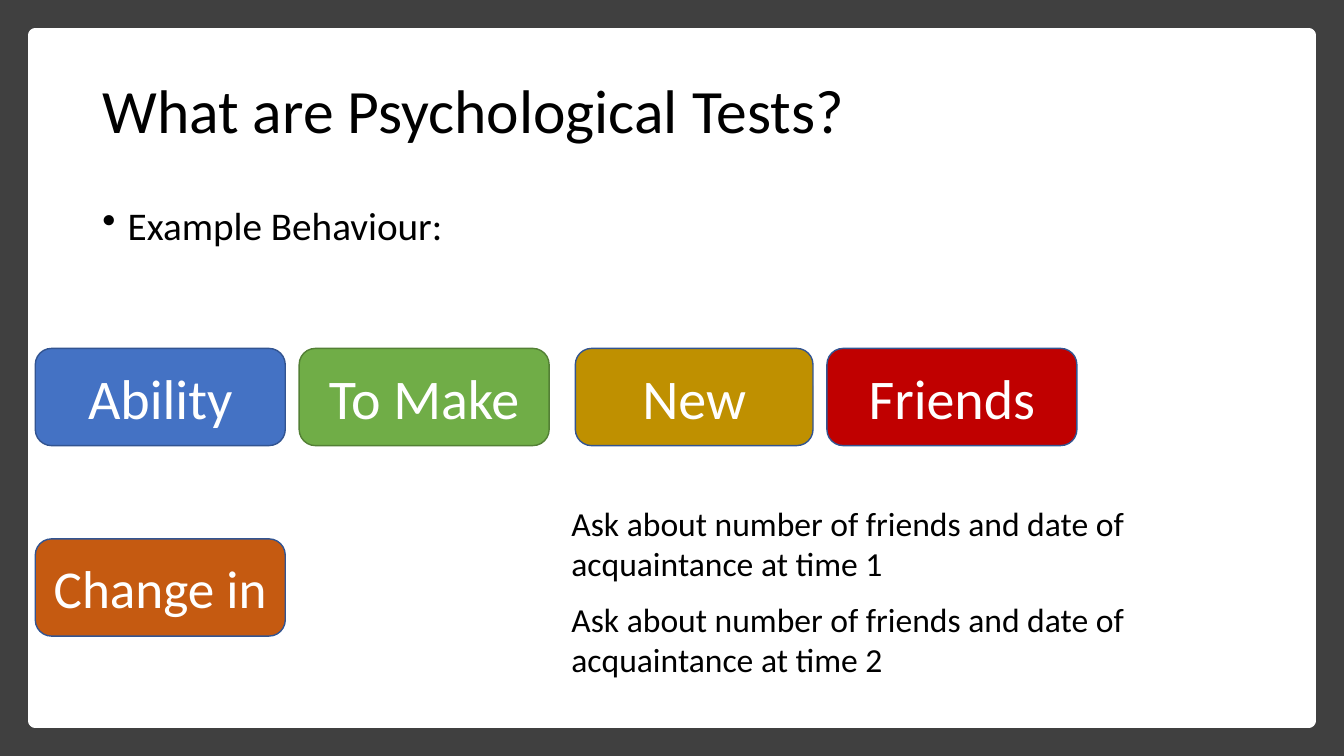
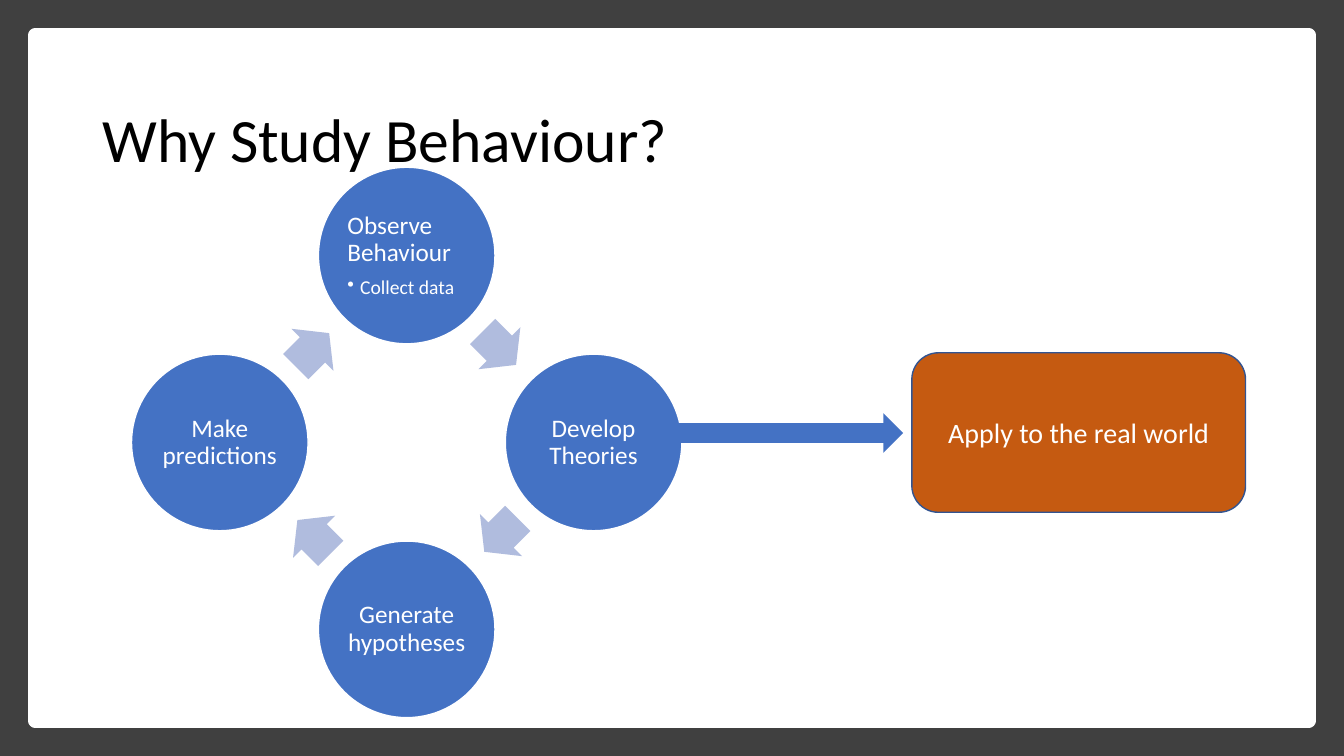
"""Build two slides about psychological tests and the study of behaviour."""
from math import cos, radians, sin

from lxml.etree import SubElement
from pptx import Presentation
from pptx.dml.color import RGBColor
from pptx.enum.shapes import MSO_SHAPE
from pptx.enum.text import MSO_ANCHOR, PP_ALIGN
from pptx.oxml.ns import qn
from pptx.util import Cm, Pt

FONT = "Calibri"
SLIDE_WIDTH, SLIDE_HEIGHT = 33.87, 19.05
BORDER = 0.89
BLACK, WHITE, CHARCOAL = "000000", "FFFFFF", "404040"
BLUE, GREEN, GOLD, RED, ORANGE = "4472C4", "70AD47", "BF9000", "C00000", "C55A11"
LAVENDER, BLUE_EDGE, GREEN_EDGE = "B0BCDE", "325491", "538035"
CHIP_WIDTH, CHIP_HEIGHT, CHIP_STEP = 6.3, 2.45, 6.65


def colour(value):
    """Turn a hex string into a colour."""
    return RGBColor.from_string(value)


def add_bullet(paragraph, indent):
    """Give a paragraph a round bullet with a hanging indent in centimetres."""
    properties = paragraph._p.get_or_add_pPr()
    properties.set("marL", str(Cm(indent)))
    properties.set("indent", str(-Cm(indent)))
    SubElement(properties, qn("a:buChar")).set("char", "•")


def write_text(text_frame, text, size=18, color=WHITE, align=PP_ALIGN.LEFT,
               spacing=1.0, after=0, bullet_indent=None, new_paragraph=False):
    """Write one formatted paragraph into a text frame."""
    paragraph = text_frame.add_paragraph() if new_paragraph else text_frame.paragraphs[0]
    if bullet_indent:
        add_bullet(paragraph, bullet_indent)
    paragraph.alignment = align
    paragraph.line_spacing = spacing
    paragraph.space_after = Pt(after)
    run = paragraph.add_run()
    run.text = text
    run.font.name = FONT
    run.font.size = Pt(size)
    run.font.color.rgb = colour(color)


def add_text_box(slide, left, top, width, height, text, anchor=MSO_ANCHOR.TOP, **text_format):
    """Add a wrapping text box with black text."""
    text_frame = slide.shapes.add_textbox(Cm(left), Cm(top), Cm(width), Cm(height)).text_frame
    text_frame.word_wrap = True
    text_frame.vertical_anchor = anchor
    write_text(text_frame, text, color=BLACK, **text_format)


def add_block(slide, kind, left, top, width, height, fill, line=None, line_width=1):
    """Add a flat preset shape, outlined only when a line colour is given."""
    shape = slide.shapes.add_shape(kind, Cm(left), Cm(top), Cm(width), Cm(height))
    shape.shadow.inherit = False
    shape.fill.solid()
    shape.fill.fore_color.rgb = colour(fill)
    if line:
        shape.line.color.rgb = colour(line)
        shape.line.width = Pt(line_width)
    else:
        shape.line.fill.background()
    shape.text_frame.vertical_anchor = MSO_ANCHOR.MIDDLE
    return shape


def add_label_box(slide, left, top, width, height, text, size, fill, line=BLUE_EDGE):
    """Add a rounded box with a centred label."""
    box = add_block(slide, MSO_SHAPE.ROUNDED_RECTANGLE, left, top, width, height, fill, line)
    write_text(box.text_frame, text, size=size, align=PP_ALIGN.CENTER)


def add_framed_slide(presentation, title, title_top):
    """Add a slide with the dark border, the white panel and a title."""
    slide = presentation.slides.add_slide(presentation.slide_layouts[6])
    add_block(slide, MSO_SHAPE.RECTANGLE, 0, 0, SLIDE_WIDTH, SLIDE_HEIGHT, CHARCOAL)
    add_block(slide, MSO_SHAPE.RECTANGLE, BORDER, BORDER, SLIDE_WIDTH - 2 * BORDER,
              SLIDE_HEIGHT - 2 * BORDER, WHITE, WHITE, 10)
    add_text_box(slide, 2.33, title_top, 29.21, 3.68, title, MSO_ANCHOR.MIDDLE,
                 size=44, spacing=0.9)
    return slide


def add_cycle(slide, center_x, center_y, steps):
    """Add circles clockwise from the top, each followed by an arrow."""
    diameter, circle_orbit = 4.45, 4.71
    arrow_width, arrow_height, arrow_orbit = 1.19, 1.5, 3.33
    turn = 360 / len(steps)
    for index, (text, detail) in enumerate(steps):
        angle = radians(index * turn - 90)
        circle = add_block(slide, MSO_SHAPE.OVAL,
                           center_x + circle_orbit * cos(angle) - diameter / 2,
                           center_y + circle_orbit * sin(angle) - diameter / 2,
                           diameter, diameter, BLUE, WHITE)
        text_frame = circle.text_frame
        text_frame.margin_left = text_frame.margin_right = Cm(0.08)
        text_frame.margin_top = text_frame.margin_bottom = Cm(0.08)
        write_text(text_frame, text, spacing=0.9, after=7.5 if detail else 0,
                   align=PP_ALIGN.LEFT if detail else PP_ALIGN.CENTER)
        if detail:
            write_text(text_frame, detail, size=14, spacing=0.9, bullet_indent=0.32,
                       new_paragraph=True)
        arrow_angle = radians((index + 0.5) * turn - 90.5)
        arrow = add_block(slide, MSO_SHAPE.RIGHT_ARROW,
                          center_x + arrow_orbit * cos(arrow_angle) - arrow_width / 2,
                          center_y + arrow_orbit * sin(arrow_angle) - arrow_height / 2,
                          arrow_width, arrow_height, LAVENDER)
        arrow.adjustments[0] = 0.6
        arrow.rotation = (index + 0.5) * turn


def build_tests_slide(presentation):
    """Build the slide that splits a behaviour into measurable parts."""
    slide = add_framed_slide(presentation, "What are Psychological Tests?", 1.02)
    add_text_box(slide, 2.33, 5.08, 27.23, 2, "Example Behaviour:",
                 size=28, spacing=0.9, bullet_indent=0.64)
    chips = [("Ability", CHIP_WIDTH, BLUE, BLUE_EDGE), ("To Make", CHIP_WIDTH, GREEN, GREEN_EDGE),
             ("New", 5.99, GOLD, BLUE_EDGE), ("Friends", CHIP_WIDTH, RED, BLUE_EDGE)]
    for index, (text, width, fill, line) in enumerate(chips):
        left = BORDER + index * CHIP_STEP + CHIP_WIDTH - width
        add_label_box(slide, left, 8.78, width, CHIP_HEIGHT, text, 40, fill, line)
    add_label_box(slide, BORDER, 13.58, CHIP_WIDTH, CHIP_HEIGHT, "Change in", 38, ORANGE)
    for index in range(2):
        question = f"Ask about number of friends and date of acquaintance at time {index + 1}"
        add_text_box(slide, 14.15, 12.55 + index * 2.41, 18.44, 2.31, question, size=24)


def build_behaviour_slide(presentation):
    """Build the slide with the research cycle and its application."""
    slide = add_framed_slide(presentation, "Why Study Behaviour?", 1.75)
    add_cycle(slide, 10.25, 11.15, [("Observe Behaviour", "Collect data"),
                                    ("Develop Theories", None),
                                    ("Generate hypotheses", None),
                                    ("Make predictions", None)])
    add_block(slide, MSO_SHAPE.RIGHT_ARROW, 16.66, 10.41, 6.1, 1, BLUE)
    add_label_box(slide, 22.98, 8.89, 8.41, 4.02, "Apply to the real world", 20, ORANGE)


def main():
    """Create the presentation and save it."""
    presentation = Presentation()
    presentation.slide_width = Cm(SLIDE_WIDTH)
    presentation.slide_height = Cm(SLIDE_HEIGHT)
    build_tests_slide(presentation)
    build_behaviour_slide(presentation)
    presentation.save("out.pptx")


if __name__ == "__main__":
    main()
